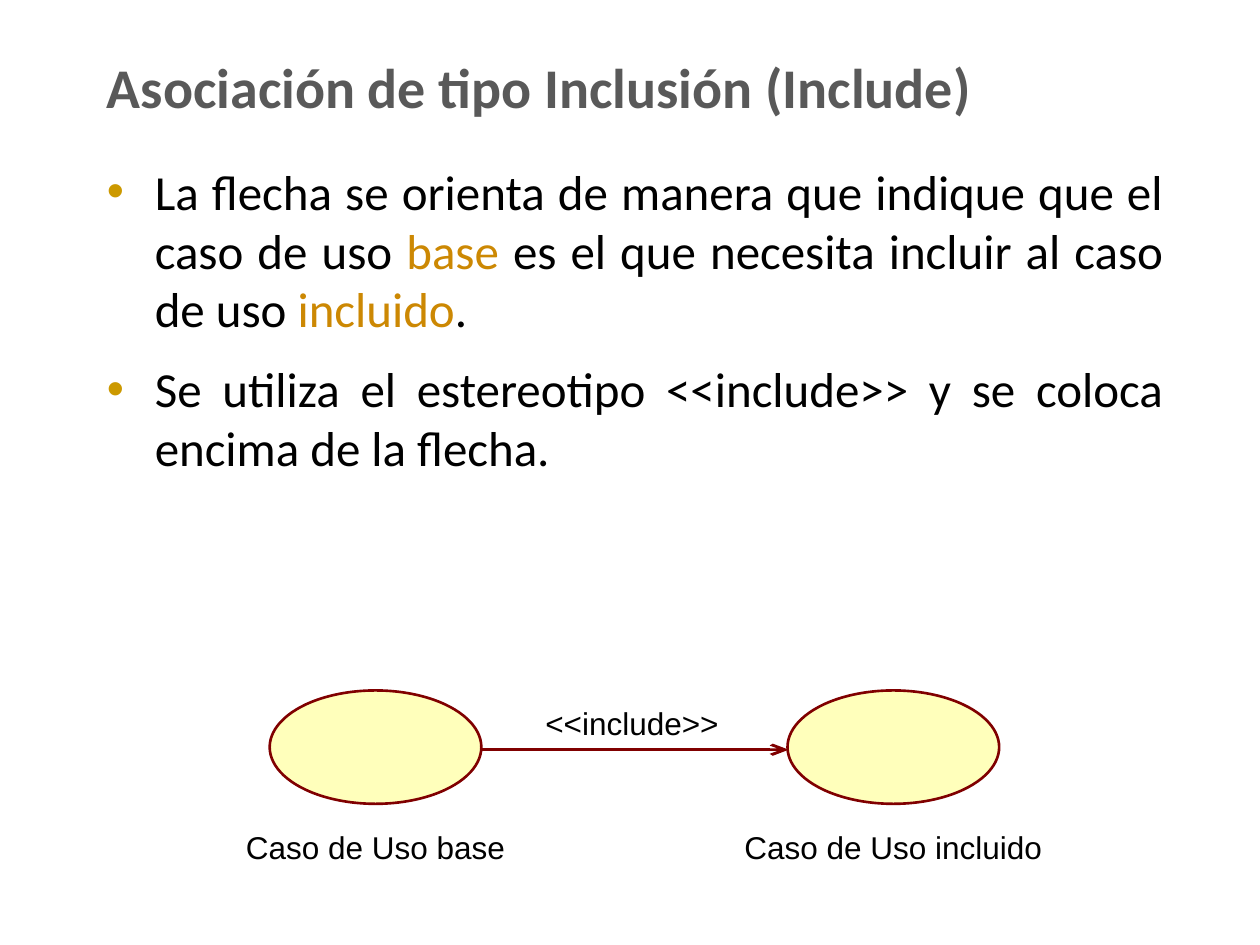
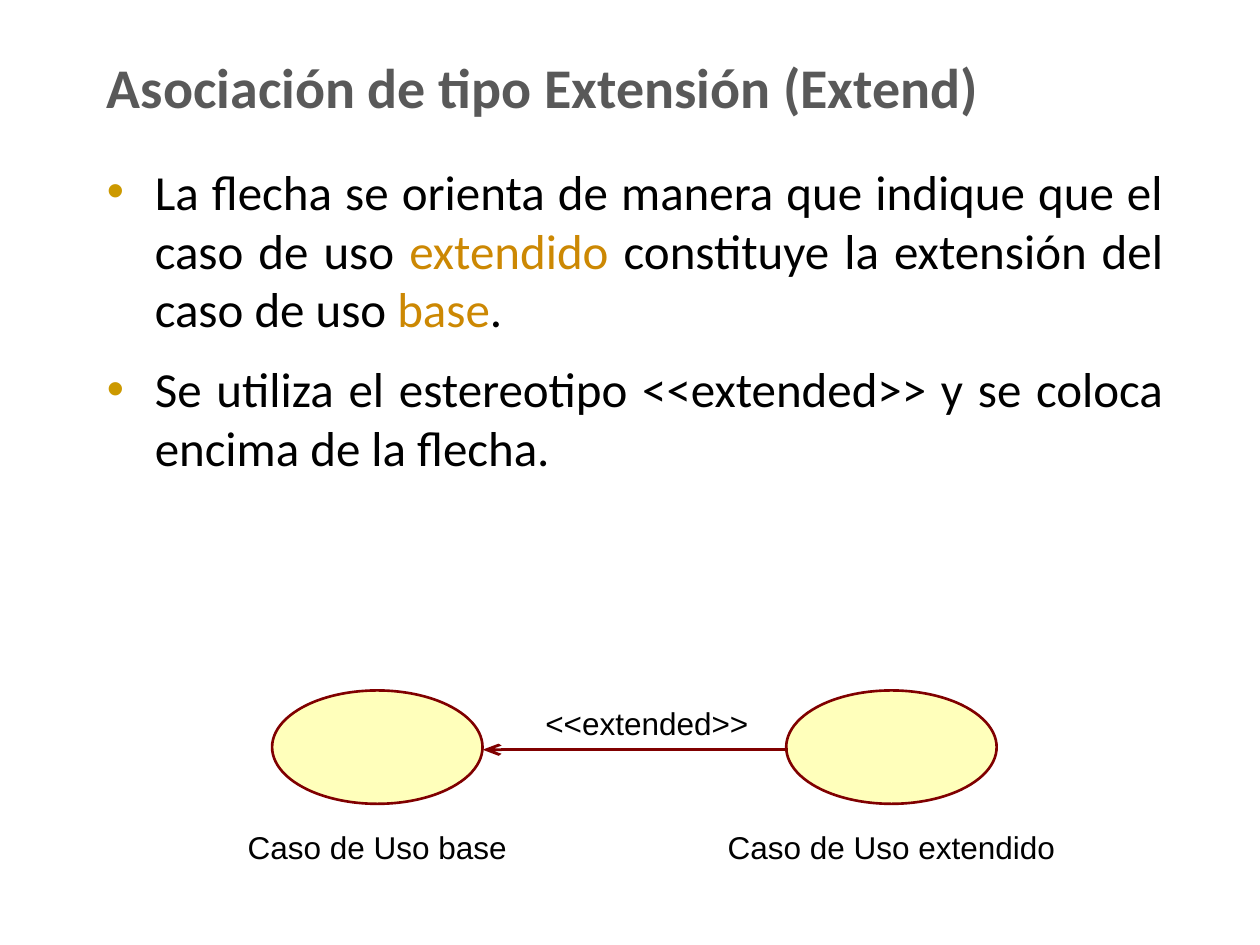
from lxml.etree import SubElement
from pptx import Presentation
from pptx.dml.color import RGBColor
from pptx.enum.shapes import MSO_CONNECTOR, MSO_SHAPE
from pptx.enum.text import MSO_ANCHOR, PP_ALIGN
from pptx.oxml.ns import qn
from pptx.util import Inches, Pt


def color(code):
    return RGBColor.from_string(code)


class Deck:
    gray, black, gold, mark = "595959", "000000", "CC8803", "CC9900"
    cream, wine = "FFFFBB", "800000"
    head, plain = "Calibri", "Arial"

    def __init__(self):
        self.file = Presentation()
        self.file.slide_width = Inches(10)
        self.file.slide_height = Inches(7.5)

    def page(self):
        self.slide = self.file.slides.add_slide(self.file.slide_layouts[6])

    def text(self, text, box, size=18, font=plain, ink=black, bold=False,
             align=PP_ALIGN.LEFT, anchor=MSO_ANCHOR.TOP, wrap=False, bullet=False):
        frame = self.slide.shapes.add_textbox(*map(Inches, box)).text_frame
        frame.word_wrap = wrap
        frame.vertical_anchor = anchor
        for row, line in enumerate(text.split("\n")):
            para = frame.paragraphs[0] if row == 0 else frame.add_paragraph()
            para.alignment = align
            if bullet:
                self.bullet(para)
                para.space_after = Pt(6)
                if row:
                    para.space_before = Pt(6)
            for part, words in enumerate(line.split("*")):
                if not words:
                    continue
                run = para.add_run()
                run.text = words
                run.font.size = Pt(size)
                run.font.name = font
                run.font.bold = bold
                run.font.color.rgb = color(self.gold if part % 2 else ink)

    def bullet(self, para):
        props = para._p.get_or_add_pPr()
        props.set("marL", str(Inches(0.38)))
        props.set("indent", str(Inches(-0.38)))
        tint = SubElement(props, qn("a:buClr"))
        SubElement(tint, qn("a:srgbClr"), val=self.mark)
        SubElement(props, qn("a:buFont"), typeface=self.plain)
        SubElement(props, qn("a:buChar"), char="•")

    def title(self, text):
        self.text(text, (0.75, 0.37, 8.58, 0.94), size=32, font=self.head,
                  ink=self.gray, bold=True, align=PP_ALIGN.JUSTIFY, wrap=True)

    def body(self, text):
        self.text(text, (0.75, 1.23, 8.58, 5.59), size=28, font=self.head,
                  align=PP_ALIGN.JUSTIFY, wrap=True, bullet=True)

    def oval(self, left, width, name):
        box = map(Inches, (left, 5.48, width, 0.9))
        shape = self.slide.shapes.add_shape(MSO_SHAPE.OVAL, *box)
        shape.shadow.inherit = False
        shape.fill.solid()
        shape.fill.fore_color.rgb = color(self.cream)
        self.stroke(shape.line)
        room = 3
        self.text(name, (left + (width - room) / 2, 6.5, room, 0.44),
                  align=PP_ALIGN.CENTER, anchor=MSO_ANCHOR.MIDDLE)

    def stroke(self, line):
        line.color.rgb = color(self.wine)
        line.width = Pt(1.5)

    def arrow(self, start, end, tip):
        ends = map(Inches, (start, 5.95, end, 5.95))
        link = self.slide.shapes.add_connector(MSO_CONNECTOR.STRAIGHT, *ends)
        self.stroke(link.line)
        SubElement(link.line._get_or_add_ln(), qn(f"a:{tip}"),
                   type="arrow", len="lg")
        SubElement(link._element.spPr, qn("a:effectLst"))

    def cases(self, left, right, width, other, label, tip):
        self.oval(left, width, "Caso de Uso base")
        self.oval(right, width, f"Caso de Uso {other}")
        self.arrow(left + width, right + 0.01, tip)
        self.text(label, (4.23, 5.54, 1.9, 0.4))


def main():
    deck = Deck()
    start = "La flecha se orienta de manera que indique que el caso de uso"
    pages = [
        ("Inclusión (Include)",
         "*base* es el que necesita incluir al caso de uso *incluido*.",
         2.14, 6.25, 1.68, "incluido", "<<include>>", "tailEnd"),
        ("Extensión (Extend)",
         "*extendido* constituye la extensión del caso de uso *base*.",
         2.16, 6.24, 1.67, "extendido", "<<extended>>", "headEnd"),
    ]
    for kind, rule, left, right, width, other, label, tip in pages:
        deck.page()
        deck.title(f"Asociación de tipo {kind}")
        deck.body(f"{start} {rule}\nSe utiliza el estereotipo {label} "
                  "y se coloca encima de la flecha.")
        deck.cases(left, right, width, other, label, tip)
    deck.file.save("out.pptx")


if __name__ == "__main__":
    main()
